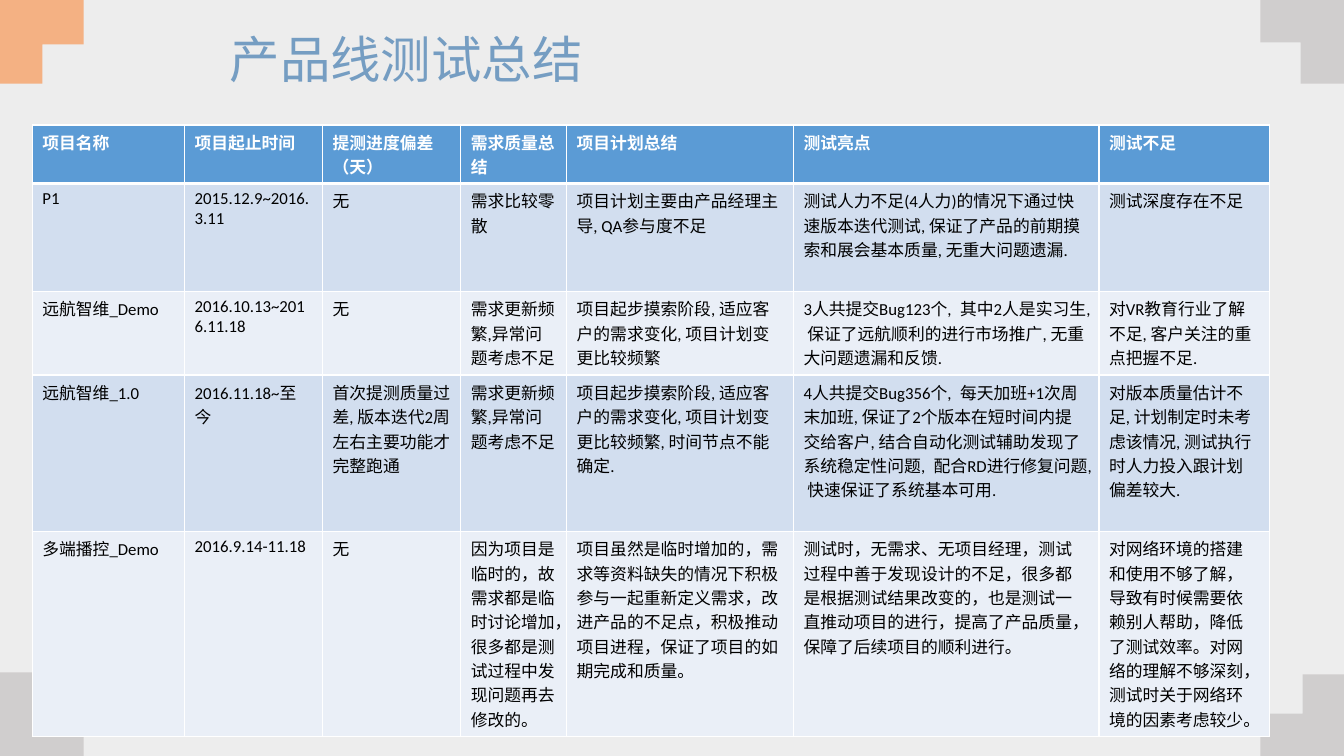
"""Build the product line test summary slide."""
from lxml import etree
from pptx import Presentation
from pptx.dml.color import RGBColor as RGB
from pptx.enum.text import MSO_ANCHOR as ANCHOR
from pptx.oxml.ns import qn
from pptx.util import Inches, Pt

COLORS = {
    "background": "EDEDED", "orange": "F4B183", "grey": "D0CECE",
    "title": "759DC2", "header": "5B9BD5", "odd": "D2DEEF",
    "even": "EAEFF7", "white": "FFFFFF", "black": "000000",
}
CJK = "Noto Sans CJK SC"


def style_run(r, latin, size, color, bold=False):
    r.font.name, r.font.size, r.font.bold = latin, Pt(size), bold
    r.font.color.rgb = RGB.from_string(COLORS[color])
    ea = etree.Element(qn("a:ea"), typeface=CJK)
    r.font._element.find(qn("a:latin")).addnext(ea)


def add_border(cell, index, side, width):
    ln = etree.Element(qn(f"a:ln{side}"), w=str(Pt(width)))
    fill = etree.SubElement(ln, qn("a:solidFill"))
    etree.SubElement(fill, qn("a:srgbClr"), val=COLORS["white"])
    cell._tc.get_or_add_tcPr().insert(index, ln)


prs = Presentation()
prs.slide_width, prs.slide_height = Inches(13.33), Inches(7.5)
s = prs.slides.add_slide(prs.slide_layouts[6])
s.background.fill.solid()
s.background.fill.fore_color.rgb = RGB.from_string(COLORS["background"])

arm = 0.83
corners = [
    (0, 7.5, 1, -1, 0.44, 0.42, "grey"),
    (0, 0, 1, 1, 0.42, 0.44, "orange"),
    (13.33, 0, -1, 1, 0.43, 0.42, "grey"),
    (13.33, 7.52, -1, -1, 0.41, 0.44, "grey"),
]
for x, y, dx, dy, upright, flat, color in corners:
    outline = [(0, 0), (arm, 0), (arm, flat), (upright, flat), (upright, arm), (0, arm)]
    points = [(Inches(x + dx * u), Inches(y + dy * v)) for u, v in outline]
    builder = s.shapes.build_freeform(*points[0])
    builder.add_line_segments(points[1:], close=True)
    sp = builder.convert_to_shape()
    sp.shadow.inherit = False
    sp.fill.solid()
    sp.fill.fore_color.rgb = RGB.from_string(COLORS[color])
    sp.line.fill.background()

sp = s.shapes.add_textbox(Inches(2.18), Inches(0.28), Inches(8.98), Inches(0.67))
tf = sp.text_frame
tf.word_wrap = True
tf.vertical_anchor = ANCHOR.MIDDLE
tf.text = "产品线测试总结"
p = tf.paragraphs[0]
p.line_spacing = 0.9
style_run(p.runs[0], CJK, 36, "title")

rows = [
    ["项目名称", "项目起止时间", "提测进度偏差（天）", "需求质量总结",
     "项目计划总结", "测试亮点", "测试不足"],
    ["P1", "2015.12.9~2016.3.11", "无", "需求比较零散",
     "项目计划主要由产品经理主导, QA参与度不足",
     "测试人力不足(4人力)的情况下通过快速版本迭代测试, 保证了产品的前期摸索和展会基本质量, 无重大问题遗漏.",
     "测试深度存在不足"],
    ["远航智维_Demo", "2016.10.13~2016.11.18", "无", "需求更新频繁,异常问题考虑不足",
     "项目起步摸索阶段, 适应客户的需求变化, 项目计划变更比较频繁",
     "3人共提交Bug123个,\u2002其中2人是实习生, 保证了远航顺利的进行市场推广, 无重大问题遗漏和反馈.",
     "对VR教育行业了解不足, 客户关注的重点把握不足."],
    ["远航智维_1.0", "2016.11.18~至今", "首次提测质量过差, 版本迭代2周左右主要功能才完整跑通",
     "需求更新频繁,异常问题考虑不足",
     "项目起步摸索阶段, 适应客户的需求变化, 项目计划变更比较频繁, 时间节点不能确定.",
     "4人共提交Bug356个,\u2002每天加班+1次周末加班, 保证了2个版本在短时间内提交给客户, "
     "结合自动化测试辅助发现了系统稳定性问题,\u2002配合RD进行修复问题, 快速保证了系统基本可用.",
     "对版本质量估计不足, 计划制定时未考虑该情况, 测试执行时人力投入跟计划偏差较大."],
    ["多端播控_Demo", "2016.9.14-11.18", "无",
     "因为项目是临时的，故需求都是临时讨论增加，很多都是测试过程中发现问题再去修改的。",
     "项目虽然是临时增加的，需求等资料缺失的情况下积极参与一起重新定义需求，改进产品的不足点，"
     "积极推动项目进程，保证了项目的如期完成和质量。",
     "测试时，无需求、无项目经理，测试过程中善于发现设计的不足，很多都是根据测试结果改变的，"
     "也是测试一直推动项目的进行，提高了产品质量，保障了后续项目的顺利进行。",
     "对网络环境的搭建和使用不够了解，导致有时候需要依赖别人帮助，降低了测试效率。"
     "对网络的理解不够深刻，测试时关于网络环境的因素考虑较少。"],
]
widths = [1.51, 1.37, 1.37, 1.05, 2.25, 3.03, 1.69]
heights = [0.58, 1.07, 0.83, 1.55, 2.04]
table = s.shapes.add_table(
    len(rows), len(widths), Inches(0.32), Inches(1.24),
    Inches(sum(widths)), Inches(sum(heights))).table
for column, width in zip(table.columns, widths):
    column.width = Inches(width)
for i, (texts, height) in enumerate(zip(rows, heights)):
    table.rows[i].height = Inches(height)
    is_header = i == 0
    fill = "header" if is_header else "odd" if i % 2 else "even"
    for j, text in enumerate(texts):
        cell = table.cell(i, j)
        cell.text_frame.text = text
        style_run(cell.text_frame.paragraphs[0].runs[0], "Calibri", 12,
                  "white" if is_header else "black", is_header)
        cell.fill.solid()
        cell.fill.fore_color.rgb = RGB.from_string(COLORS[fill])
        for index, side in enumerate("LRTB"):
            thick = (i, side) in [(0, "B"), (1, "T")]
            add_border(cell, index, side, 3 if thick else 1)

prs.save("out.pptx")
